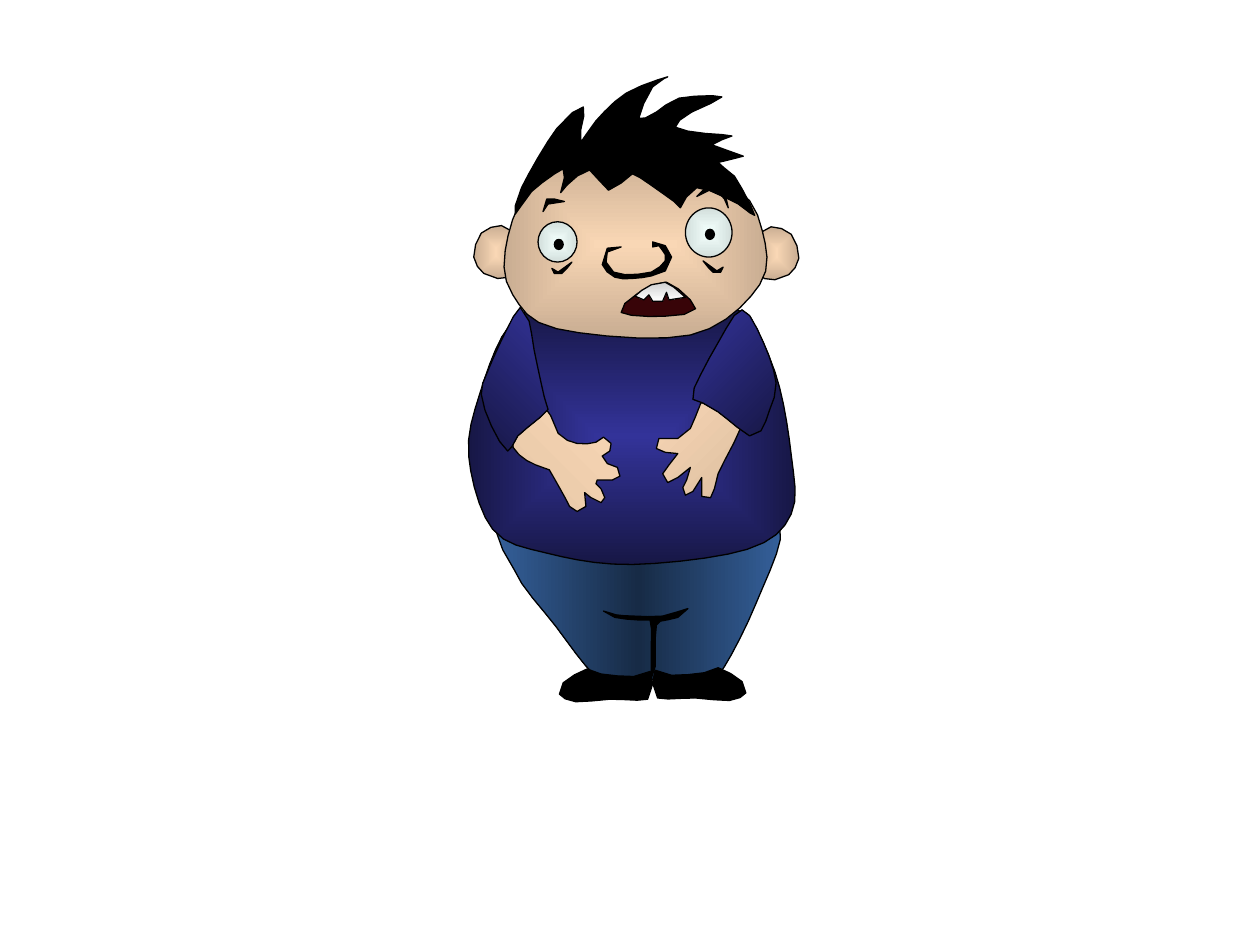
"""Draws a worried cartoon man from smooth closed curves on a grid of 100 units to 2.54 cm."""
import math

import lxml.etree
import pptx
import pptx.dml.color
import pptx.enum.shapes
import pptx.oxml.ns
import pptx.util

RGB = pptx.dml.color.RGBColor
BLACK = RGB(0x00, 0x00, 0x00)
DENIM = RGB(0x34, 0x5F, 0x99)
DENIM_SHADE = RGB(0x17, 0x2B, 0x46)
BLUE = RGB(0x33, 0x33, 0x99)
BLUE_SHADE = RGB(0x17, 0x17, 0x46)
SKIN = RGB(0xF9, 0xD7, 0xB5)
SKIN_SHADE = RGB(0xC9, 0xAD, 0x92)
LEFT_HAND_SHADE = RGB(0xE6, 0xC7, 0xA7)
RIGHT_HAND_SHADE = RGB(0xDC, 0xBE, 0xA0)
EYE = RGB(0xF2, 0xFF, 0xFC)
EYE_SHADE = RGB(0xD3, 0xDF, 0xDC)
MOUTH = RGB(0x38, 0x04, 0x08)
TOOTH = RGB(0xFF, 0xFF, 0xFF)
TOOTH_SHADE = RGB(0xCF, 0xCF, 0xCF)

UNIT = pptx.util.Cm(2.54) // 100
CHORD = 14
MAX_STEPS = 5

PANTS = "407,412 408,452 441,497 471,535 489,540 523,539 563,538 575,529 600,479 619,420 575,422"
SHIRT = ("438,244 404,259 381,312 372,362 391,420 434,439 502,448 593,436 628,408 628,361 "
         "615,295 588,247 548,251")
LEFT_HAND = ("430,320 443,344 458,352 473,351 479,347 485,352 484,358 478,362 482,368 490,371 "
             "492,378 486,381 482,381 474,381 473,384 477,388 480,395 477,399 469,395 464,391 "
             "465,402 458,406 452,402 449,396 440,380 436,373 425,369 412,361 407,347")
LEFT_SLEEVE = "382,313 390,338 403,358 411,346 435,325 432,315 424,278 420,255 413,244 401,264 387,295"
LEFT_EAR = "409,185 398,179 382,185 376,204 384,217 395,221 410,215"
HEAD = "520,123 473,123 420,151 401,199 407,234 442,261 548,266 603,226 605,183 584,149"
HAIR = ("414,149 442,102 463,85 461,103 461,113 473,96 497,74 530,61 518,69 507,94 521,89 539,78 "
        "573,77 549,89 536,101 560,106 581,108 565,115 590,124 570,129 583,140 599,171 586,162 "
        "553,149 540,165 535,160 508,141 502,138 483,151 468,135 450,147 445,153 448,141 447,134 "
        "422,152 409,170")
LIPS = "493,248 506,233 529,224 552,245 527,251"
NOSE = ("493,196 482,197 478,210 488,220 502,221 517,219 528,215 533,204 528,195 518,192 518,196 "
        "523,195 526,199 528,202 528,207 517,216 496,218 487,216 481,208 482,200")
RIGHT_HAND = ("562,314 548,340 538,348 523,348 521,356 528,359 538,360 531,369 526,376 530,383 "
              "538,379 548,371 545,381 542,387 544,393 550,390 557,379 557,387 557,394 564,395 "
              "567,388 570,376 591,327")
RIGHT_SLEEVE = ("589,246 570,272 551,308 550,317 558,320 570,327 585,339 595,346 604,342 611,325 "
                "616,304 606,272")
LEFT_SHOE = "466,531 447,542 444,551 457,557 484,555 514,555 518,543 516,533 503,537 477,535"
TROUSER_SEAM = ("517,538 517,510 516,492 506,492 488,490 479,485 489,488 503,489 526,489 546,483 "
                "538,490 524,493 521,496 520,507 520,529")
TEETH = "504,235 511,238 515,234 518,239 526,239 529,232 531,238 544,236 535,228 528,224 517,226"
LEFT_BROW = "431,168 435,162 448,160 440,158 434,158"
RIGHT_BROW = "553,156 560,149 567,145 576,156 578,165 575,158 569,151 563,151"
LEFT_EYE_BAG = "438,213 443,216 454,208 450,213 446,217 440,217"


def anchors(outline):
    """Return the x, y pairs of an outline."""
    return [tuple(map(int, pair.split(","))) for pair in outline.split()]


def mirrored(points, axis_sum, drop):
    """Reflect points left to right, moved down by drop."""
    return [(axis_sum - x, y + drop) for x, y in points]


def smooth(points):
    """Return a closed Catmull-Rom curve in EMU, with more steps on longer spans."""
    outline = []
    for i in range(len(points)):
        neighbours = [points[(i + k) % len(points)] for k in (-1, 0, 1, 2)]
        span = math.dist(neighbours[1], neighbours[2])
        steps = max(1, min(MAX_STEPS, math.ceil(span / CHORD)))
        for step in range(steps):
            t = step / steps
            outline.append(tuple(
                UNIT * (b + t * ((c - a) + t * ((2 * a - 5 * b + 4 * c - d)
                                                + t * (3 * b - a - 3 * c + d))) / 2)
                for a, b, c, d in zip(*neighbours)))
    return outline


def gradient(part, colors, angle):
    """Fill a part with evenly spaced colors, from its centre if angle is None."""
    part.fill.gradient()
    fill = part.element.spPr.find(pptx.oxml.ns.qn("a:gradFill"))
    for child in list(fill):
        fill.remove(child)

    def add(parent, tag, **attributes):
        return lxml.etree.SubElement(parent, pptx.oxml.ns.qn(tag), **attributes)

    stops = add(fill, "a:gsLst")
    for i, color in enumerate(colors):
        stop = add(stops, "a:gs", pos=str(100000 * i // (len(colors) - 1)))
        add(stop, "a:srgbClr", val=str(color))
    if angle is None:
        centre = add(fill, "a:path", path="rect")
        add(centre, "a:fillToRect", **dict.fromkeys("ltrb", "50000"))
    else:
        add(fill, "a:lin", ang=str(angle * 60000), scaled="1")


def finish(part, colors, angle):
    """Give a part its fill and thin black outline."""
    part.shadow.inherit = False
    part.line.color.rgb = BLACK
    part.line.width = pptx.util.Pt(0.75)
    if len(colors) > 1:
        gradient(part, colors, angle)
    else:
        part.fill.solid()
        part.fill.fore_color.rgb = colors[0]


def curve(figure, points, *colors, angle=None):
    """Add a smooth closed part."""
    start, *rest = smooth(points)
    builder = figure.shapes.build_freeform(*start)
    builder.add_line_segments(rest)
    finish(builder.convert_to_shape(), colors, angle)


def oval(figure, left, top, width, height, *colors):
    """Add an oval part."""
    box = [UNIT * length for length in (left, top, width, height)]
    part = figure.shapes.add_shape(pptx.enum.shapes.MSO_SHAPE.OVAL, *box)
    finish(part, colors, None)


def main():
    """Build the slide and save it."""
    deck = pptx.Presentation()
    deck.slide_width, deck.slide_height = pptx.util.Cm(25.4), pptx.util.Cm(19.05)
    slide = deck.slides.add_slide(deck.slide_layouts[6])
    man = slide.shapes.add_group_shape()

    curve(man, anchors(PANTS), DENIM, DENIM_SHADE, DENIM, angle=180)
    curve(man, anchors(SHIRT), BLUE, BLUE_SHADE)
    curve(man, anchors(LEFT_HAND), SKIN, LEFT_HAND_SHADE, angle=135)
    curve(man, anchors(LEFT_SLEEVE), BLUE, BLUE_SHADE, angle=135)
    ear = anchors(LEFT_EAR)
    for points in (ear, mirrored(ear, 1010, 1), anchors(HEAD)):
        curve(man, points, SKIN, SKIN_SHADE)
    curve(man, anchors(HAIR), BLACK)
    oval(man, 427, 176, 31, 32, EYE, EYE_SHADE)
    oval(man, 544, 165, 37, 39, EYE, EYE_SHADE)
    for left, top in ((440, 190), (560, 182)):
        oval(man, left, top, 7, 8, BLACK)
    curve(man, anchors(LIPS), MOUTH)
    curve(man, anchors(NOSE), BLACK)
    curve(man, anchors(RIGHT_HAND), RIGHT_HAND_SHADE, SKIN, angle=225)
    curve(man, anchors(RIGHT_SLEEVE), BLUE_SHADE, BLUE, angle=225)
    shoe = anchors(LEFT_SHOE)
    for points in (shoe, mirrored(shoe, 1036, -1), anchors(TROUSER_SEAM)):
        curve(man, points, BLACK)
    curve(man, anchors(TEETH), TOOTH_SHADE, TOOTH, angle=90)
    bag = anchors(LEFT_EYE_BAG)
    for points in (anchors(LEFT_BROW), anchors(RIGHT_BROW), bag, mirrored(bag, 1012, -1)):
        curve(man, points, BLACK)

    deck.save("out.pptx")


if __name__ == "__main__":
    main()
